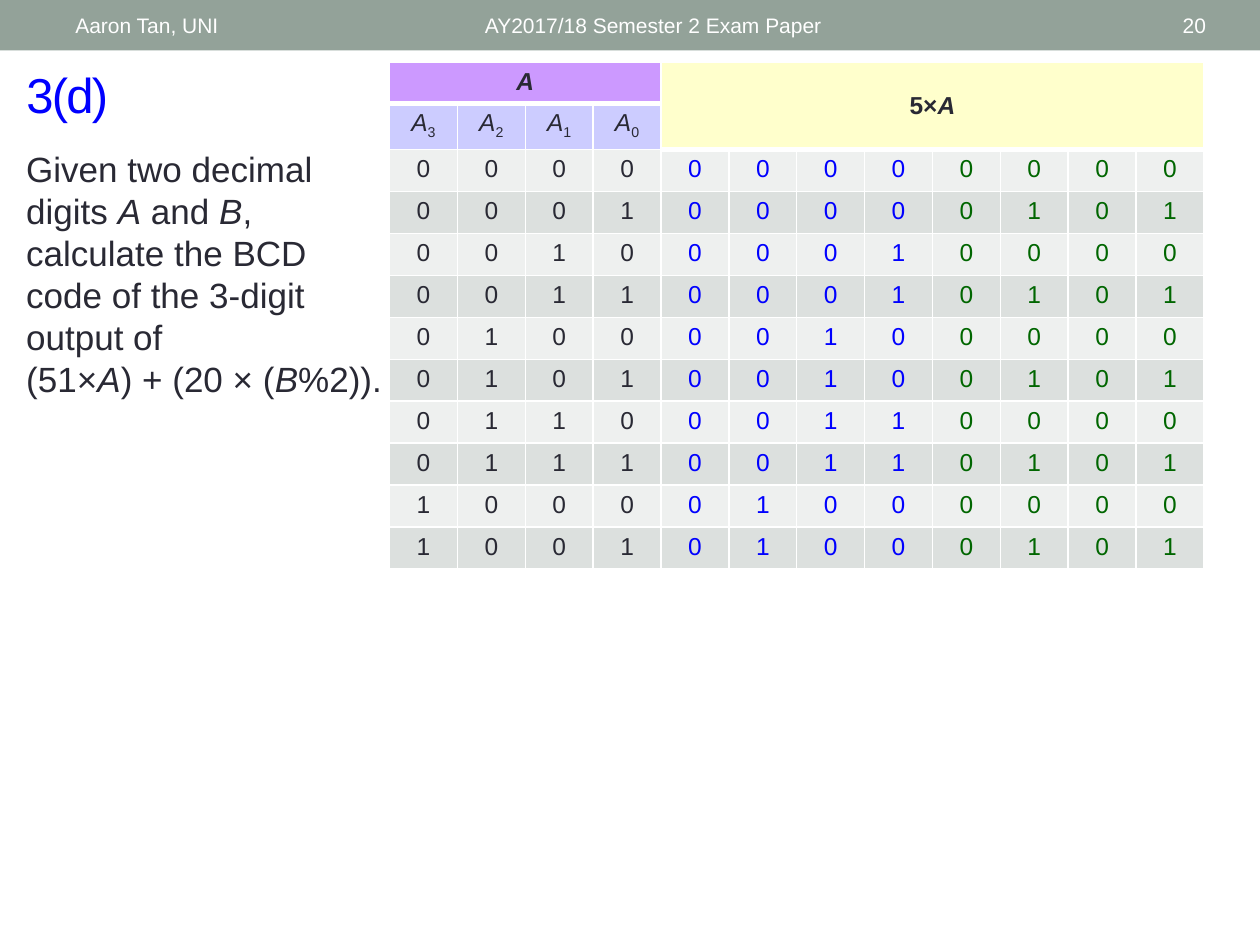
"""Build the exam slide with the truth table for five times a decimal digit."""
from dataclasses import dataclass

from lxml.etree import SubElement
from pptx import Presentation
from pptx.dml.color import RGBColor
from pptx.enum.shapes import MSO_SHAPE
from pptx.enum.text import MSO_ANCHOR, MSO_AUTO_SIZE, PP_ALIGN
from pptx.oxml import parse_xml
from pptx.oxml.ns import nsdecls, qn
from pptx.util import Pt

WHITE = RGBColor(0xFF, 0xFF, 0xFF)
SAGE = RGBColor(0x93, 0xA2, 0x99)
INK = RGBColor(0x29, 0x29, 0x34)
BLUE = RGBColor(0x00, 0x00, 0xFF)
GREEN = RGBColor(0x00, 0x66, 0x00)
PURPLE = RGBColor(0xCC, 0x99, 0xFF)
LAVENDER = RGBColor(0xCC, 0xCC, 0xFF)
CREAM = RGBColor(0xFF, 0xFF, 0xCC)
BANDS = (RGBColor(0xEE, 0xF0, 0xEF), RGBColor(0xDC, 0xE0, 0xDE))

FONT = "Arial"
BITS = 4
COLUMNS = 3 * BITS
HEADER_ROWS = 2
DIGITS = 10
ROW_HEIGHTS = [23.4, 26.4] + [24] * DIGITS
COLUMN_WIDTH = 38.8


@dataclass
class Span:
    text: str
    italic: bool = False
    subscript: bool = False


@dataclass
class TextBlock:
    left: float
    top: float
    width: float
    height: float
    paragraphs: list[list[Span]]
    size: float
    color: RGBColor
    align: PP_ALIGN = PP_ALIGN.LEFT
    anchor: MSO_ANCHOR = MSO_ANCHOR.MIDDLE


HEADER_TOP, HEADER_HEIGHT = 1.44, 25.92
TITLE = TextBlock(7.92, 26.64, 68.4, 54, [[Span("3(d)")]], 28, BLUE)
TEXT_BLOCKS = [
    TextBlock(270, HEADER_TOP, 324, HEADER_HEIGHT,
              [[Span("AY2017/18 Semester 2 Exam Paper")]], 12, WHITE),
    TextBlock(36, HEADER_TOP, 228.24, HEADER_HEIGHT,
              [[Span("Aaron Tan, UNI")]], 12, WHITE),
    TextBlock(627.84, HEADER_TOP, 68.4, HEADER_HEIGHT,
              [[Span("20")]], 12, WHITE, PP_ALIGN.RIGHT),
    TextBlock(7.92, 80.64, 221.04, 152.64, [
        [Span("Given two decimal digits "), Span("A", True), Span(" and "),
         Span("B", True), Span(", calculate the BCD code of the 3-digit output of ")],
        [Span("(51×"), Span("A", True), Span(") + (20 × ("),
         Span("B", True), Span("%2)).")],
    ], 20, INK, anchor=MSO_ANCHOR.TOP),
]


def write_paragraph(para, spans: list[Span], size: float, color: RGBColor,
                    align: PP_ALIGN, bold: bool = False) -> None:
    """Write styled spans into one paragraph."""
    para.alignment = align
    para.font.name = FONT
    para.font.size = Pt(size)
    para.font.color.rgb = color
    para.font.bold = bold
    for span in spans:
        run = para.add_run()
        run.text = span.text
        if span.italic:
            run.font.italic = True
        if span.subscript:
            run.font._element.set("baseline", "-25000")


def fill_text(box, block: TextBlock) -> None:
    """Place a text shape and write its paragraphs."""
    box.left, box.top = Pt(block.left), Pt(block.top)
    box.width, box.height = Pt(block.width), Pt(block.height)
    frame = box.text_frame
    frame.word_wrap = True
    frame.auto_size = MSO_AUTO_SIZE.NONE
    frame.vertical_anchor = block.anchor
    for index, spans in enumerate(block.paragraphs):
        para = frame.paragraphs[0] if index == 0 else frame.add_paragraph()
        write_paragraph(para, spans, block.size, block.color, block.align)


def set_borders(cell, top: float, bottom: float) -> None:
    """Give a cell white borders, one point wide at the sides."""
    properties = cell._tc.get_or_add_tcPr()
    for index, (side, width) in enumerate(
            (("L", 1), ("R", 1), ("T", top), ("B", bottom))):
        line = parse_xml(f'<a:ln{side} {nsdecls("a")} w="{Pt(width)}"/>')
        fill = SubElement(line, qn("a:solidFill"))
        SubElement(fill, qn("a:srgbClr"), val=str(WHITE))
        properties.insert(index, line)


def write_cell(cell, spans: list[Span], fill: RGBColor, color: RGBColor = INK,
               bold: bool = False) -> None:
    """Fill a table cell and write its centred text."""
    cell.fill.solid()
    cell.fill.fore_color.rgb = fill
    write_paragraph(cell.text_frame.paragraphs[0], spans, 14, color,
                    PP_ALIGN.CENTER, bold)


def add_truth_table(page) -> None:
    """Add the table of each digit and its product with five in BCD."""
    table = page.shapes.add_table(
        HEADER_ROWS + DIGITS, COLUMNS, Pt(222.6), Pt(35.6),
        Pt(COLUMN_WIDTH * COLUMNS), Pt(sum(ROW_HEIGHTS))).table
    table.first_row = False
    table.horz_banding = False
    for column in table.columns:
        column.width = Pt(COLUMN_WIDTH)
    for row, height in zip(table.rows, ROW_HEIGHTS):
        row.height = Pt(height)

    for row in range(HEADER_ROWS + DIGITS):
        for column in range(COLUMNS):
            heavy = 0 if column < BITS else 1
            set_borders(table.cell(row, column),
                        3 if row == heavy + 1 else 1, 3 if row == heavy else 1)

    table.cell(0, 0).merge(table.cell(0, BITS - 1))
    table.cell(0, BITS).merge(table.cell(1, COLUMNS - 1))
    write_cell(table.cell(0, 0), [Span("A", True)], PURPLE, bold=True)
    product = table.cell(0, BITS)
    write_cell(product, [Span("5×"), Span("A", True)], CREAM, bold=True)
    product.vertical_anchor = MSO_ANCHOR.MIDDLE
    for column in range(BITS):
        label = [Span("A", True), Span(str(BITS - 1 - column), subscript=True)]
        write_cell(table.cell(1, column), label, LAVENDER)

    for digit in range(DIGITS):
        tens, units = divmod(5 * digit, 10)
        bits = f"{digit:04b}{tens:04b}{units:04b}"
        for column, bit in enumerate(bits):
            write_cell(table.cell(HEADER_ROWS + digit, column), [Span(bit)],
                       BANDS[digit % 2], (INK, BLUE, GREEN)[column // BITS])


def build() -> None:
    """Build and save the deck."""
    deck = Presentation()
    deck.slide_width, deck.slide_height = Pt(720), Pt(540)
    page = deck.slides.add_slide(deck.slide_layouts[5])

    bar = page.shapes.add_shape(MSO_SHAPE.RECTANGLE, 0, 0, Pt(720), Pt(28.8))
    bar.shadow.inherit = False
    bar.fill.solid()
    bar.fill.fore_color.rgb = SAGE
    bar.line.fill.background()

    title = page.shapes.title
    fill_text(title, TITLE)
    title.text_frame.paragraphs[0].runs[0].font._element.set("spc", "-100")
    for block in TEXT_BLOCKS:
        fill_text(page.shapes.add_textbox(0, 0, 0, 0), block)
    add_truth_table(page)
    deck.save("out.pptx")


build()
